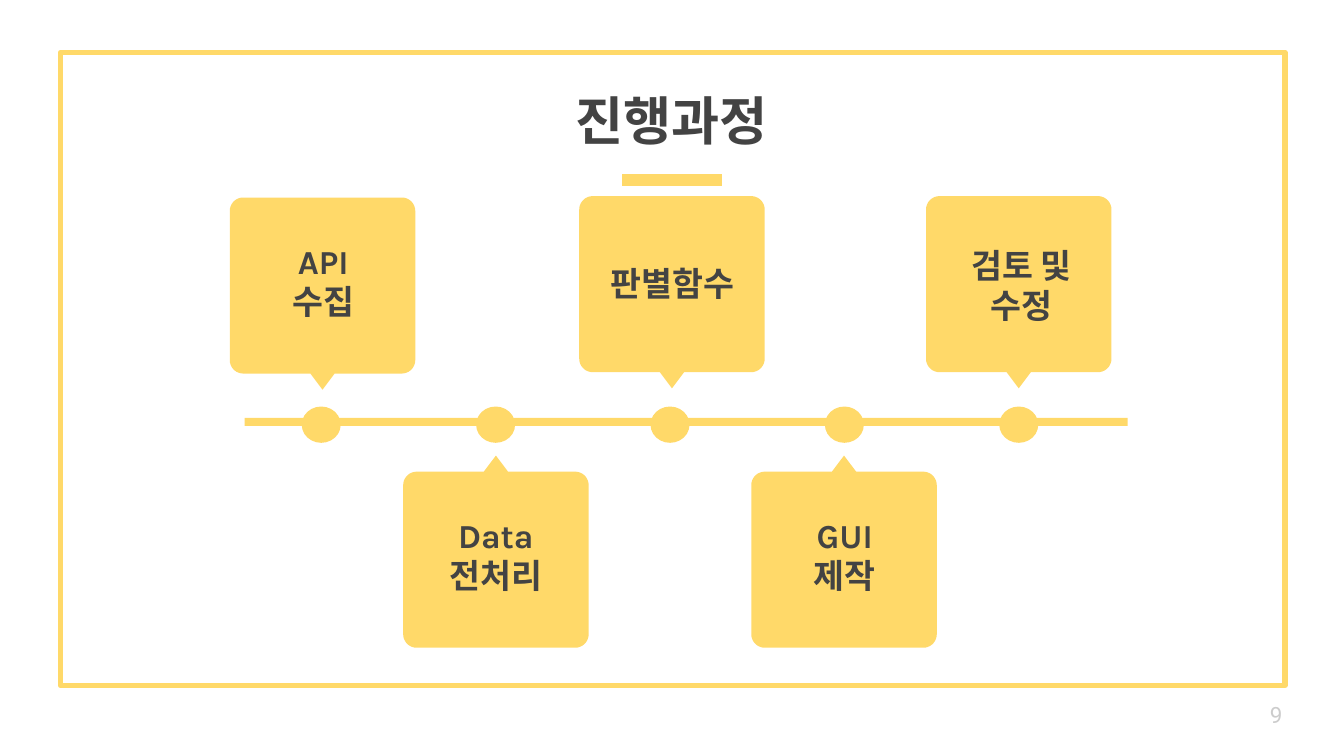
"""Build the five-step project timeline slide."""
import math
import lxml.etree
import pptx
import pptx.dml.color
import pptx.enum.shapes
import pptx.enum.text
import pptx.oxml.ns
import pptx.util

Inches = pptx.util.Inches
SHAPE = pptx.enum.shapes.MSO_SHAPE
ALIGN = pptx.enum.text.PP_ALIGN
ANCHOR = pptx.enum.text.MSO_ANCHOR

YELLOW, DARK, GRAY = "FFD969", "434343", "CCCCCC"
WIDTH = 10
HEIGHT = WIDTH * 9 / 16
TITLE = "진행과정"
PAGE = "9"
STEPS = [
    {"lines": ["API", "수집"], "box": (1.94, 1.69, 0.93, 0.8), "x": 2.4, "tip": 2.9},
    {"lines": ["Data 전처리"], "box": (3.11, 3.73, 1.16, 0.41), "x": 3.69, "tip": 3.39},
    {"lines": ["판별함수"], "box": (4.38, 1.86, 1.25, 0.45), "x": 5, "tip": 2.89},
    {"lines": ["GUI", "제작"], "box": (5.82, 3.73, 0.93, 0.78), "x": 6.28, "tip": 3.39},
    {"lines": ["검토 및 수정"], "box": (7.03, 1.72, 1.14, 0.74), "x": 7.58, "tip": 2.89},
]
FIRST_DOT, LAST_DOT = 2.39, 7.58
DOT_GAP = (LAST_DOT - FIRST_DOT) / (len(STEPS) - 1)
AXIS_Y, DOT_W, DOT_H = 3.16, 0.29, 0.27
CARD_W, CARD_H, RADIUS = 1.38, 1.31, 0.1
TIP_W, TIP_H = 0.18, 0.12
BODY = {"name": "Karla", "size": pptx.util.Pt(18), "bold": True}
HEADING = {**BODY, "size": pptx.util.Pt(28)}
NUMBER = {"name": "Roboto", "size": pptx.util.Pt(12)}


def rgb(value):
    """Turn a hex string into a colour."""
    return pptx.dml.color.RGBColor.from_string(value)


def paint(sp):
    """Give a shape the flat yellow fill."""
    sp.shadow.inherit = False
    sp.fill.solid()
    sp.fill.fore_color.rgb = rgb(YELLOW)
    sp.line.fill.background()


def outline(sp, width):
    """Give a shape or connector a yellow line."""
    sp.line.color.rgb = rgb(YELLOW)
    sp.line.width = pptx.util.Pt(width)


def add_filled(s, kind, *box):
    """Add a flat preset shape."""
    paint(s.shapes.add_shape(kind, *map(Inches, box)))


def add_accent(s, *ends):
    """Add the short line under the title."""
    kind = pptx.enum.shapes.MSO_CONNECTOR.STRAIGHT
    line = s.shapes.add_connector(kind, *map(Inches, ends))
    outline(line, 6)
    lxml.etree.SubElement(line._element.spPr, pptx.oxml.ns.qn("a:effectLst"))


def add_text(s, lines, box, font, color=DARK, align=ALIGN.CENTER, anchor=ANCHOR.TOP):
    """Add a text box with one paragraph per line."""
    tf = s.shapes.add_textbox(*map(Inches, box)).text_frame
    tf.word_wrap = True
    tf.vertical_anchor = anchor
    for side in ("left", "top", "right", "bottom"):
        setattr(tf, "margin_" + side, Inches(0.1))
    for i, line in enumerate(lines):
        p = tf.paragraphs[0] if i == 0 else tf.add_paragraph()
        p.alignment = align
        r = p.add_run()
        r.text = line
        for name, value in font.items():
            setattr(r.font, name, value)
        r.font.color.rgb = rgb(color)


def add_card(s, x, tip):
    """Add a rounded card whose pointer ends at (x, tip) towards the axis."""
    away = -1 if tip < AXIS_Y else 1
    half = CARD_W / 2
    points = [(0, 0), (TIP_W / 2, TIP_H)]
    corners = [
        (half - RADIUS, TIP_H + RADIUS, -90),
        (half - RADIUS, TIP_H + CARD_H - RADIUS, 0),
        (RADIUS - half, TIP_H + CARD_H - RADIUS, 90),
        (RADIUS - half, TIP_H + RADIUS, 180),
    ]
    for cx, cy, start in corners:
        for turn in range(0, 91, 10):
            a = math.radians(start + turn)
            points.append((cx + RADIUS * math.cos(a), cy + RADIUS * math.sin(a)))
    points.append((-TIP_W / 2, TIP_H))
    points = [(Inches(x + dx), Inches(tip + away * dy)) for dx, dy in points]
    builder = s.shapes.build_freeform(*points[0])
    builder.add_line_segments(points[1:], close=True)
    paint(builder.convert_to_shape())


def main():
    """Draw the slide and save it."""
    prs = pptx.Presentation()
    prs.slide_width, prs.slide_height = Inches(WIDTH), Inches(HEIGHT)
    s = prs.slides.add_slide(prs.slide_layouts[6])

    frame = s.shapes.add_shape(SHAPE.RECTANGLE, *map(Inches, (0.45, 0.39, 9.11, 4.71)))
    frame.shadow.inherit = False
    frame.fill.background()
    outline(frame, 3)

    add_accent(s, 4.63, 1.34, 5.37, 1.34)
    add_filled(s, SHAPE.RECTANGLE, 1.82, 3.11, 6.57, 0.06)
    add_text(s, [TITLE], (0, 0.22, WIDTH, 1), HEADING, anchor=ANCHOR.BOTTOM)
    for i, step in enumerate(STEPS):
        dot_x = FIRST_DOT + i * DOT_GAP
        add_card(s, step["x"], step["tip"])
        add_filled(s, SHAPE.OVAL, dot_x - DOT_W / 2, AXIS_Y - DOT_H / 2, DOT_W, DOT_H)
        add_text(s, step["lines"], step["box"], BODY)
    add_text(s, [PAGE], (9.35, 5.1, 0.6, 0.43), NUMBER, GRAY, ALIGN.LEFT, ANCHOR.MIDDLE)
    prs.save("out.pptx")


if __name__ == "__main__":
    main()
